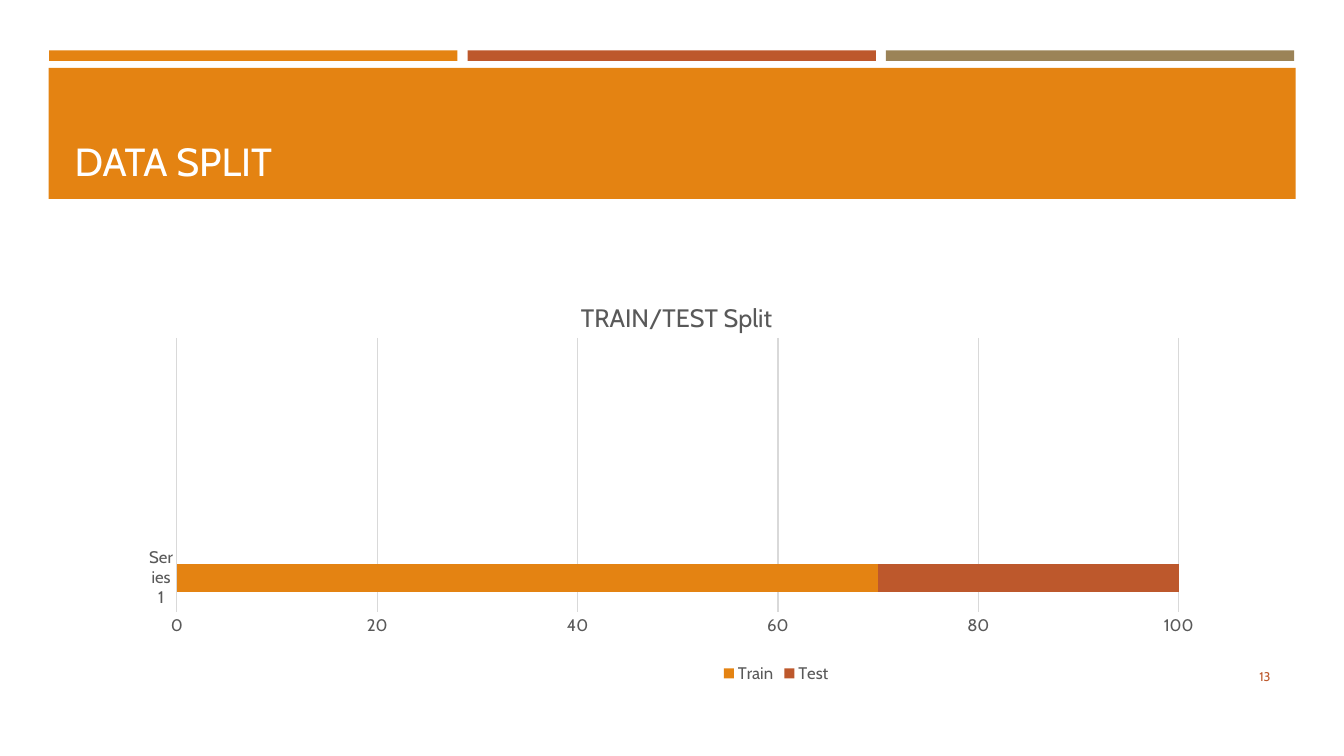
from dataclasses import dataclass

from lxml import etree
from pptx import Presentation
from pptx.chart.chart import Chart
from pptx.chart.data import CategoryChartData
from pptx.dml.color import RGBColor
from pptx.dml.fill import FillFormat
from pptx.enum.chart import XL_CHART_TYPE as ChartType
from pptx.enum.chart import XL_LEGEND_POSITION as LegendPosition
from pptx.enum.chart import XL_TICK_MARK as TickMark
from pptx.enum.shapes import MSO_SHAPE as Preset
from pptx.enum.text import MSO_ANCHOR as Anchor
from pptx.enum.text import MSO_AUTO_SIZE as AutoSize
from pptx.enum.text import PP_ALIGN as Align
from pptx.oxml.ns import qn
from pptx.slide import Slide
from pptx.text.text import Font
from pptx.util import Inches, Pt

WIDTH, HEIGHT = Inches(13.33), Inches(7.5)
FONT = "Cabin"
ORANGE, RUST, OLIVE = "E48312", "BD582C", "9B8357"
WHITE, GREY, PALE = "FFFFFF", "595959", "D9D9D9"


@dataclass(frozen=True)
class Area:
    """A rectangle in percent of the slide's width and height."""
    left: float
    top: float
    width: float
    height: float

    def box(self) -> tuple[int, int, int, int]:
        return (int(WIDTH * self.left / 100), int(HEIGHT * self.top / 100),
                int(WIDTH * self.width / 100), int(HEIGHT * self.height / 100))


@dataclass(frozen=True)
class Block:
    area: Area
    color: str


@dataclass(frozen=True)
class Share:
    name: str
    percent: int
    color: str


STRIPE_WIDTH, STRIPE_PITCH = 30.38, 31.13
BLOCKS = [
    Block(Area(3.66 + i * STRIPE_PITCH, 6.67, STRIPE_WIDTH, 1.4), color)
    for i, color in enumerate((ORANGE, RUST, OLIVE))
] + [Block(Area(3.63, 8.97, 92.77, 17.33), ORANGE)]
TITLE_AREA = Area(4.8, 10.27, 90.47, 14.8)
CHART_AREA = Area(11.1, 36.93, 93.1, 54)
NUMBER_AREA = Area(86.65, 86.8, 8.63, 5.33)

CATEGORIES = ["Series 1", "", "", ""]
SPLIT = [Share("Train", 70, ORANGE), Share("Test", 30, RUST)]


def rgb(color: str) -> RGBColor:
    return RGBColor.from_string(color)


def paint(fill: FillFormat, color: str) -> None:
    fill.solid()
    fill.fore_color.rgb = rgb(color)


def style(font: Font, size: float, color: str) -> None:
    font.name, font.size, font.bold = FONT, Pt(size), False
    font.color.rgb = rgb(color)


def draw_block(slide: Slide, block: Block) -> None:
    shape = slide.shapes.add_shape(Preset.RECTANGLE, *block.area.box())
    shape.shadow.inherit = False
    paint(shape.fill, block.color)
    shape.line.fill.background()


def place(parent: etree._Element, before: str, **layout: object) -> None:
    """Give a chart part a manual layout."""
    for old in parent.findall(qn("c:layout")):
        parent.remove(old)
    element = etree.Element(qn("c:layout"))
    manual = etree.SubElement(element, qn("c:manualLayout"))
    for key, value in layout.items():
        etree.SubElement(manual, qn(f"c:{key}")).set("val", str(value))
    parent.find(qn(before)).addprevious(element)


def style_axes(chart: Chart) -> None:
    for axis in (chart.category_axis, chart.value_axis):
        axis.major_tick_mark = axis.minor_tick_mark = TickMark.NONE
        style(axis.tick_labels.font, 12, GREY)
    values = chart.value_axis
    values.minimum_scale, values.maximum_scale, values.major_unit = 0, 120, 20
    values.format.line.fill.background()
    values.has_major_gridlines = True
    for line in (chart.category_axis.format.line, values.major_gridlines.format.line):
        paint(line.fill, PALE)
        line.width = Pt(0.75)


def draw_split(slide: Slide) -> None:
    data = CategoryChartData()
    data.categories = CATEGORIES
    for share in SPLIT:
        data.add_series(share.name, [share.percent, None, None, None])
    chart = slide.shapes.add_chart(ChartType.BAR_STACKED, *CHART_AREA.box(), data).chart
    style(chart.font, 10, "000000")

    # Bars
    plot = chart.plots[0]
    plot.gap_width, plot.overlap, plot.vary_by_categories = 150, 100, False
    for series, share in zip(plot.series, SPLIT):
        paint(series.format.fill, share.color)
    style_axes(chart)

    # Heading and legend
    chart.has_title = True
    heading = chart.chart_title.text_frame.paragraphs[0]
    heading.text = "TRAIN/TEST Split"
    style(heading.font, 18, GREY)
    chart.chart_title.include_in_layout = False
    chart.has_legend = True
    chart.legend.position = LegendPosition.BOTTOM
    chart.legend.include_in_layout = False
    style(chart.legend.font, 12, GREY)

    # Positions inside the chart
    place(chart.chart_title._element, "c:overlay",
          xMode="edge", yMode="edge", x=0.34, y=0.04)
    place(chart._chartSpace.chart.plotArea, "c:barChart", layoutTarget="inner",
          xMode="edge", yMode="edge", x=0.02, y=0.144, w=0.963, h=0.672)


def write_title(slide: Slide) -> None:
    title = slide.shapes.title
    title.left, title.top, title.width, title.height = TITLE_AREA.box()
    frame = title.text_frame
    frame.text = "DATA SPLIT"
    frame.vertical_anchor, frame.auto_size = Anchor.BOTTOM, AutoSize.NONE
    frame.paragraphs[0].alignment = Align.LEFT
    style(frame.paragraphs[0].font, 28, WHITE)


def write_number(slide: Slide) -> None:
    frame = slide.shapes.add_textbox(*NUMBER_AREA.box()).text_frame
    frame.text = "13"
    frame.word_wrap, frame.vertical_anchor = True, Anchor.MIDDLE
    frame.paragraphs[0].alignment = Align.RIGHT
    style(frame.paragraphs[0].font, 9, RUST)


def main() -> None:
    deck = Presentation()
    deck.slide_width, deck.slide_height = WIDTH, HEIGHT
    slide = deck.slides.add_slide(deck.slide_layouts[5])
    paint(slide.background.fill, WHITE)
    for block in BLOCKS:
        draw_block(slide, block)
    # Bring the title in front of the band
    slide.shapes._spTree.append(slide.shapes.title._element)
    write_title(slide)
    draw_split(slide)
    write_number(slide)
    deck.save("out.pptx")


if __name__ == "__main__":
    main()
